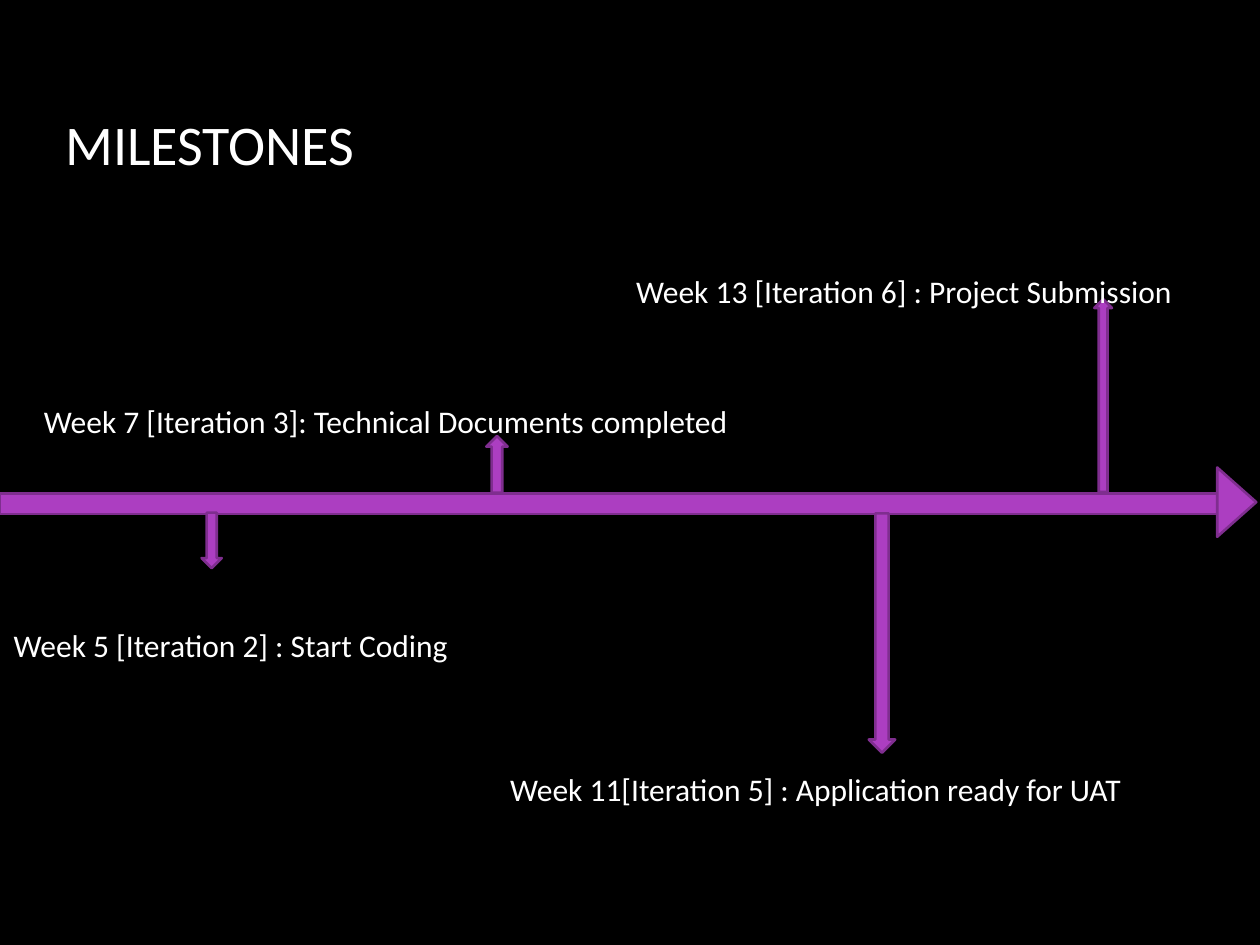
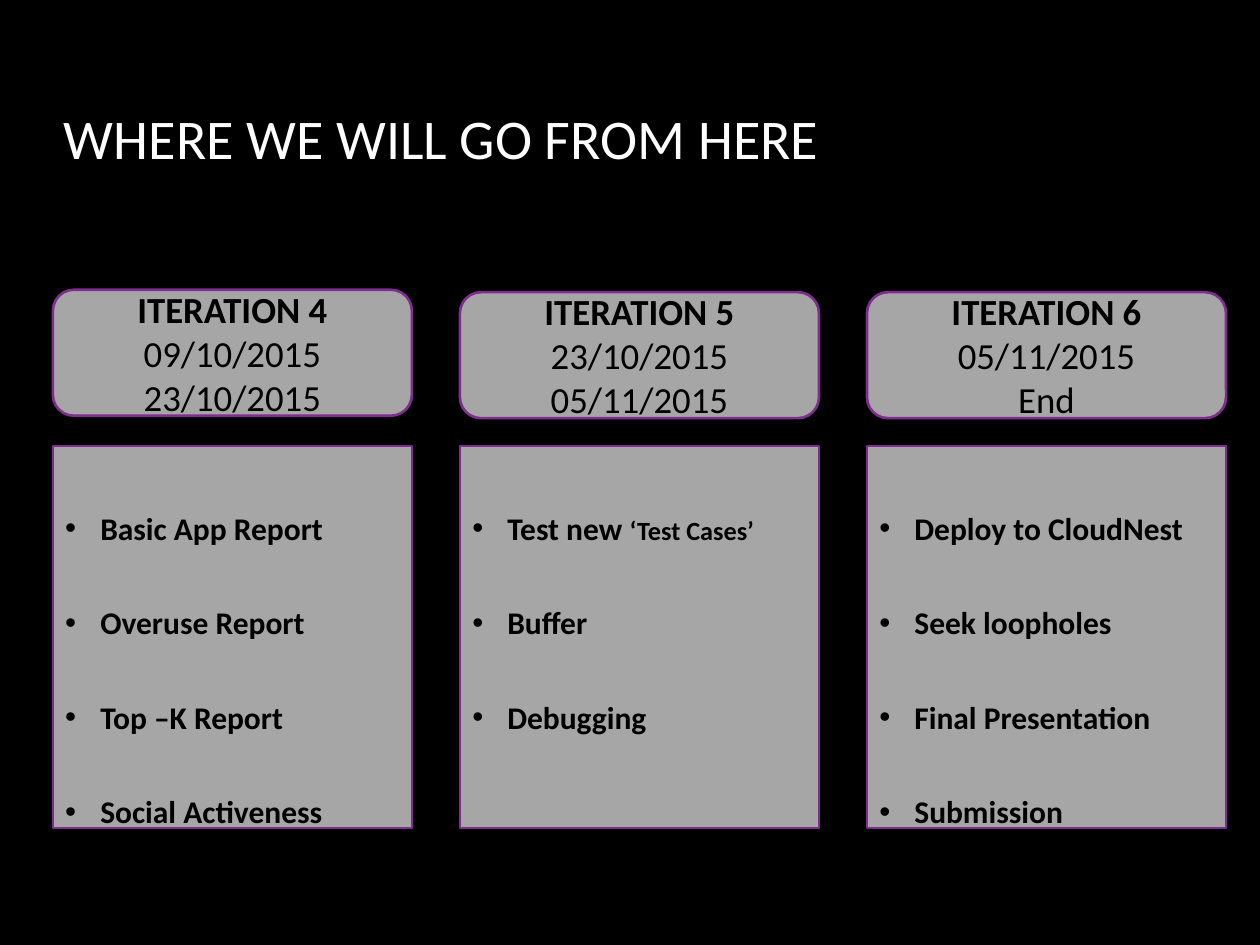
import pptx
import pptx.dml.color
import pptx.enum.shapes
import pptx.enum.text
import pptx.oxml
import pptx.oxml.ns
import pptx.util

Pt = pptx.util.Pt
Kind = pptx.enum.shapes.MSO_SHAPE
Align = pptx.enum.text.PP_ALIGN
Anchor = pptx.enum.text.MSO_ANCHOR

BLACK, WHITE, GREY = "000000", "FFFFFF", "A6A6A6"
PURPLE, PLUM = "AC3EC1", "7F2E8F"

ARROWS = [
    (267.8, 259.2, 32.4, 12.2, 270),
    (575.3, 221, 110.2, 10.1, 270),
    (105.1, 303.1, 31.7, 11.5, 90),
    (435.6, 354.2, 136.8, 15.1, 90),
]
LABELS = [
    ("Week 11[Iteration 5] : Application ready for UAT", 284.4, 414.7, 458.6, True),
    ("Week 5 [Iteration 2] : Start Coding", 0.7, 332.6, 270, False),
    ("Week 7 [Iteration 3]: Technical Documents completed", 18, 204.5, 532.8, True),
    ("Week 13 [Iteration 6] : Project Submission", 356.4, 130.3, 328.3, False),
]
STAGES = [
    (165.6, "ITERATION 4", "09/10/2015", "23/10/2015",
     ["Basic App Report", "Overuse Report", "Top –K Report", "Social Activeness"]),
    (167, "ITERATION 5", "23/10/2015", "05/11/2015",
     [("Test new ", "‘Test Cases’"), "Buffer", "Debugging"]),
    (167, "ITERATION 6", "05/11/2015", "End",
     ["Deploy to CloudNest", "Seek loopholes", "Final Presentation", "Submission"]),
]


def paint(hue):
    return pptx.dml.color.RGBColor.from_string(hue)


def apply(target, values):
    for name, value in values.items():
        setattr(target, name, value)


class Deck:
    font = "Calibri"
    edge = 1.5

    def __init__(self):
        self.file = pptx.Presentation()
        apply(self.file, {"slide_width": Pt(720), "slide_height": Pt(540)})
        self.slide = None

    def page(self, title, left, top, height):
        self.slide = self.file.slides.add_slide(self.file.slide_layouts[6])
        fill = self.slide.background.fill
        fill.solid()
        fill.fore_color.rgb = paint(BLACK)
        self.text(title, left, top, 612, height, size=32)

    def phrase(self, para, words, size, hue, bold=False):
        run = para.add_run()
        run.text = words
        apply(run.font, {"name": self.font, "size": Pt(size), "bold": bold})
        run.font.color.rgb = paint(hue)

    def text(self, words, left, top, width, height, size=18, wrap=True, space=1.0):
        box = self.slide.shapes.add_textbox(Pt(left), Pt(top), Pt(width), Pt(height))
        box.text_frame.word_wrap = wrap
        para = box.text_frame.paragraphs[0]
        para.line_spacing = space
        self.phrase(para, words, size, WHITE)

    def shape(self, kind, left, top, width, height, hue=PURPLE, turn=0):
        item = self.slide.shapes.add_shape(kind, Pt(left), Pt(top), Pt(width), Pt(height))
        item.shadow.inherit = False
        item.rotation = turn
        item.fill.solid()
        item.fill.fore_color.rgb = paint(hue)
        item.line.color.rgb = paint(PLUM)
        item.line.width = Pt(self.edge)
        return item

    def rows(self, item, count, anchor):
        frame = item.text_frame
        apply(frame, {"word_wrap": True, "vertical_anchor": anchor})
        for _ in range(count - 1):
            frame.add_paragraph()
        return frame.paragraphs

    def head(self, lines, left, top, width, height):
        item = self.shape(Kind.ROUNDED_RECTANGLE, left, top, width, height, GREY)
        paras = self.rows(item, len(lines), Anchor.MIDDLE)
        for spot, (para, line) in enumerate(zip(paras, lines)):
            para.alignment = Align.CENTER
            self.phrase(para, line, 21, BLACK, spot == 0)

    def tasks(self, names, left, top, width, height):
        item = self.shape(Kind.RECTANGLE, left, top, width, height, GREY)
        for para, name in zip(self.rows(item, len(names), Anchor.TOP), names):
            apply(para, {"alignment": Align.LEFT, "line_spacing": 2.5})
            self.bullet(para)
            parts = (name,) if isinstance(name, str) else name
            for words, size in zip(parts, (18, 15)):
                self.phrase(para, words, size, BLACK, True)

    def bullet(self, para):
        props = para._p.get_or_add_pPr()
        props.set("marL", str(Pt(20)))
        props.set("indent", str(-Pt(20)))
        for tag, name, value in (("a:buFont", "typeface", "Arial"), ("a:buChar", "char", "•")):
            mark = pptx.oxml.parse_xml(f'<{tag} {pptx.oxml.ns.nsdecls("a")} {name}="{value}"/>')
            props.append(mark)


def main():
    deck = Deck()

    deck.page("MILESTONES", 30.2, 59, 114.5)
    deck.shape(Kind.RECTANGLE, 0, 282.2, 695.5, 11.5)
    for left, top, width, height, turn in ARROWS:
        deck.shape(Kind.RIGHT_ARROW, left, top, width, height, turn=turn)
    for words, left, top, width, wrap in LABELS:
        deck.text(words, left, top, width, 51, wrap=wrap, space=2.0)
    deck.shape(Kind.ISOSCELES_TRIANGLE, 686.9, 275.8, 39.6, 22.3, turn=90)

    deck.page("WHERE WE WILL GO FROM HERE", 29.5, 55.4, 57.6)
    width, pitch = 205.2, 232.6
    for spot, (top, name, start, end, tasks) in enumerate(STAGES):
        left = 30.2 + spot * pitch
        deck.head((name, start, end), left, top, width, 72)
        deck.tasks(tasks, left, 254.9, width, 218.2)

    deck.file.save("out.pptx")


if __name__ == "__main__":
    main()
